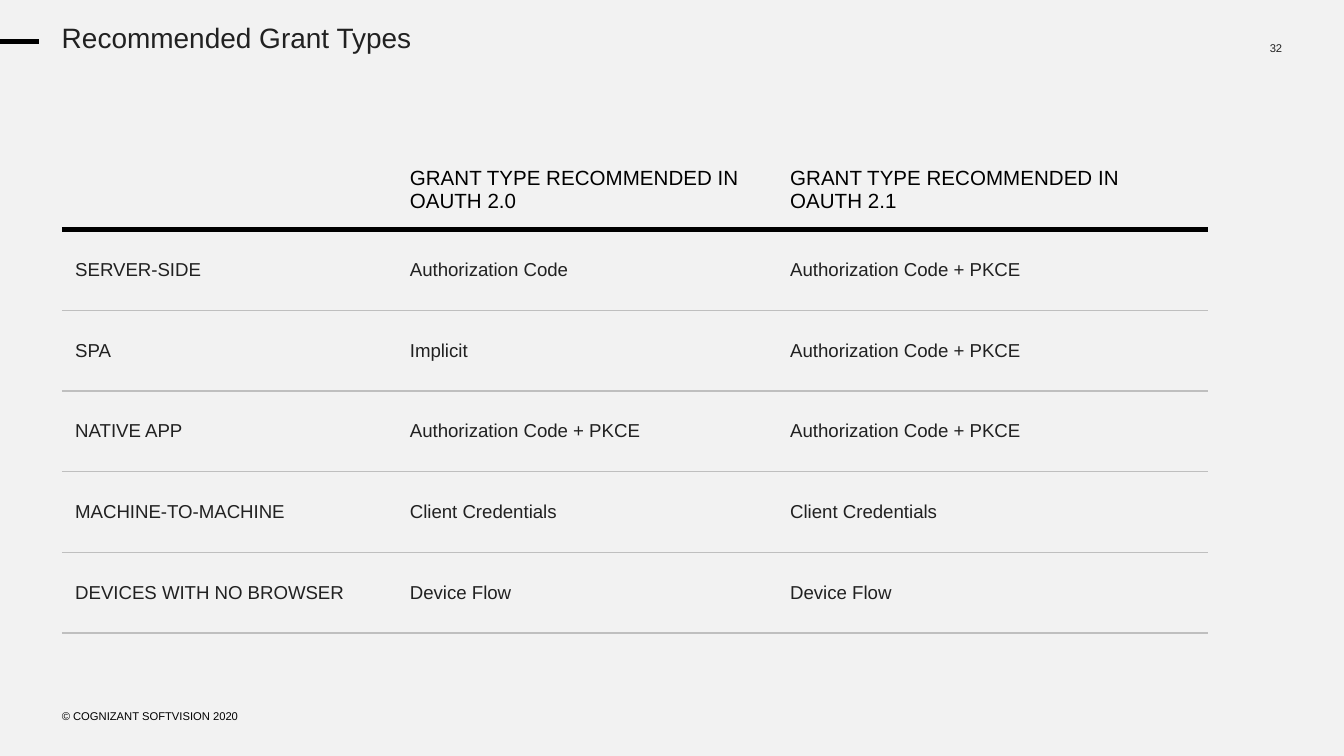
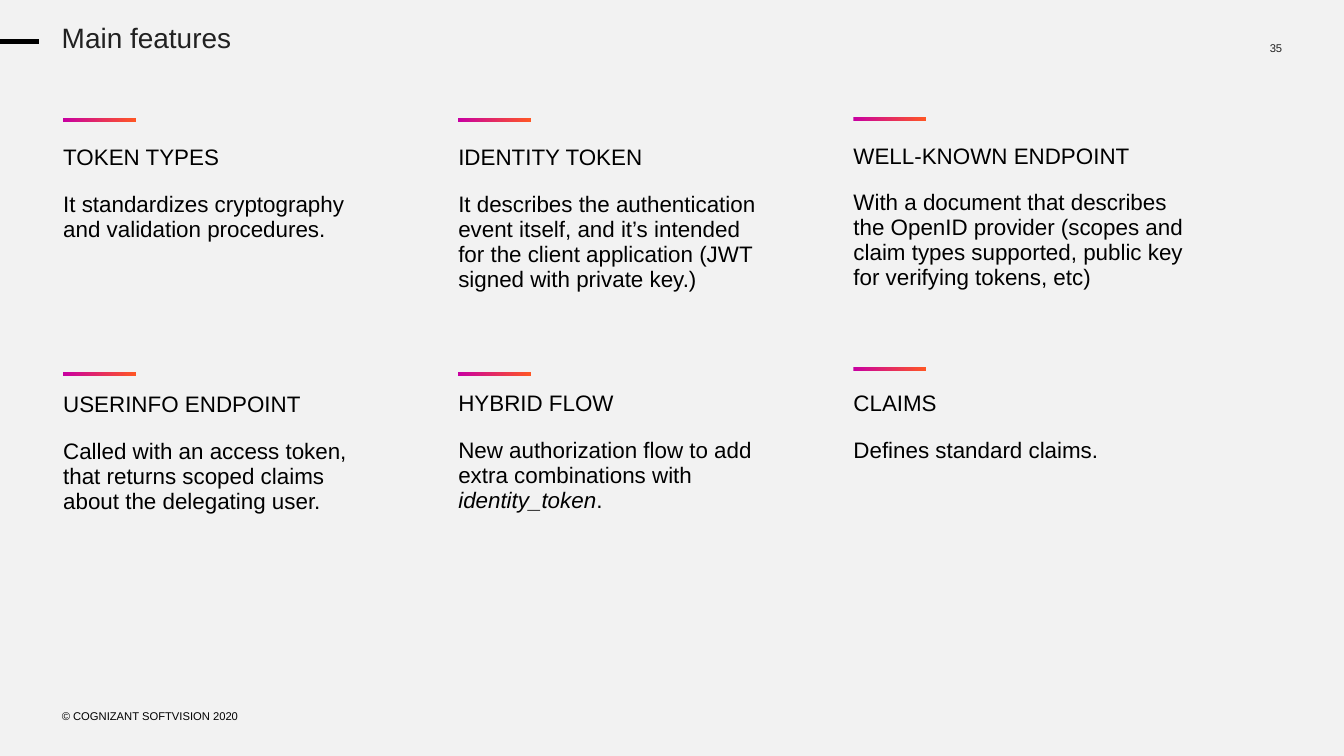
from lxml import etree
from pptx import Presentation
from pptx import util as u
from pptx.dml.color import RGBColor
from pptx.enum import shapes, text
from pptx.oxml import ns

INK = {"page": "F2F2F2", "black": "000000", "dark": "212121",
       "rule": "BFBFBF", "pink": "C800A1", "orange": "FF5625"}
FONT = "Arial"
PLAIN = "{2D5ABB26-0587-4C30-8999-92F81FD0307C}"
LEFT = 0.46

GRANTS = [
    ("", "GRANT TYPE RECOMMENDED IN OAUTH 2.0", "GRANT TYPE RECOMMENDED IN OAUTH 2.1"),
    ("SERVER-SIDE", "Authorization Code", "Authorization Code + PKCE"),
    ("SPA", "Implicit", "Authorization Code + PKCE"),
    ("NATIVE APP", "Authorization Code + PKCE", "Authorization Code + PKCE"),
    ("MACHINE-TO-MACHINE", "Client Credentials", "Client Credentials"),
    ("DEVICES WITH NO BROWSER", "Device Flow", "Device Flow"),
]

FEATURES = [
    (0.47, 0.88, 1.08, 2.76, "TOKEN TYPES",
     ["It standardizes cryptography and validation procedures."]),
    (3.41, 0.88, 1.08, 2.73, "IDENTITY TOKEN",
     ["It describes the authentication event itself, and it’s intended "
      "for the client application (JWT signed with private key.)"]),
    (6.35, 0.87, 1.07, 3.08, "WELL-KNOWN ENDPOINT",
     ["With a document that describes the OpenID provider (scopes and claim "
      "types supported, public key for verifying tokens, etc)"]),
    (0.47, 2.77, 2.92, 2.76, "USERINFO ENDPOINT",
     ["Called with an access token, that returns scoped claims about the delegating user."]),
    (3.41, 2.77, 2.91, 2.73, "HYBRID FLOW",
     ["New authorization flow to add extra combinations with ", "identity_token", "."]),
    (6.35, 2.73, 2.91, 3.08, "CLAIMS", ["Defines standard claims."]),
]


def color(name):
    """Return the named colour."""
    return RGBColor.from_string(INK[name])


def style(frame, size, ink):
    """Format every run of a text frame."""
    for para in frame.paragraphs:
        for run in para.runs:
            run.font.name = FONT
            run.font.size = u.Pt(size)
            run.font.color.rgb = color(ink)


def inset(item, *sides):
    """Set the left, top, right and bottom margins of a frame or cell."""
    names = ("margin_left", "margin_top", "margin_right", "margin_bottom")
    for name, side in zip(names, sides):
        setattr(item, name, u.Inches(side))


def label(slide, box, words, size, ink):
    """Add a text box without margins and return its frame."""
    frame = slide.shapes.add_textbox(*map(u.Inches, box)).text_frame
    frame.word_wrap = True
    inset(frame, 0, 0, 0, 0)
    frame.text = words
    style(frame, size, ink)
    return frame


def base(deck, title, number):
    """Add a slide with its title, dash, page number and footer."""
    slide = deck.slides.add_slide(deck.slide_layouts[6])
    slide.background.fill.solid()
    slide.background.fill.fore_color.rgb = color("page")
    page = label(slide, (8.94, 0.31, 0.6, 0.43), number, 6, "dark")
    page.paragraphs[0].alignment = text.PP_ALIGN.RIGHT
    foot = label(slide, (LEFT, 5.25, 2.22, 0.16), "© COGNIZANT SOFTVISION 2020", 6, "black")
    foot.vertical_anchor = text.MSO_ANCHOR.MIDDLE
    head = label(slide, (LEFT, 0.18, 4.54, 0.24), title, 15, "dark")
    head.paragraphs[0].line_spacing = 0.9
    dash = slide.shapes.add_connector(
        shapes.MSO_CONNECTOR.STRAIGHT, 0, u.Inches(0.31), u.Inches(0.29), u.Inches(0.31))
    dash.line.color.rgb = color("black")
    dash.line.width = u.Pt(3)
    etree.SubElement(dash.element.spPr, ns.qn("a:effectLst"))
    return slide


def grid(slide, left, top, cols, rows):
    """Add an unstyled table with the given column widths and row heights."""
    box = map(u.Inches, (left, top, sum(cols), sum(rows)))
    table = slide.shapes.add_table(len(rows), len(cols), *box).table
    table.first_row = table.horz_banding = False
    table._tbl.tblPr.find(ns.qn("a:tableStyleId")).text = PLAIN
    for col, width in zip(table.columns, cols):
        col.width = u.Inches(width)
    for row, height in zip(table.rows, rows):
        row.height = u.Inches(height)
    return table


def edge(cell, place, tag, ink, width):
    """Draw one border of a cell."""
    line = etree.Element(ns.qn(tag), w=str(u.Pt(width)))
    fill = etree.SubElement(line, ns.qn("a:solidFill"))
    etree.SubElement(fill, ns.qn("a:srgbClr"), val=INK[ink])
    cell._tc.get_or_add_tcPr().insert(place, line)


def matrix(slide):
    """Add the table of grant types."""
    table = grid(slide, LEFT, 1.11, [2.49, 2.83, 3.21], [0.6] * len(GRANTS))
    thick, thin = ("black", 3), ("rule", 0.75)
    for i, row in enumerate(GRANTS):
        for j, words in enumerate(row):
            cell = table.cell(i, j)
            inset(cell, 0.1, 0.1, 0.1, 0.1)
            cell.vertical_anchor = text.MSO_ANCHOR.MIDDLE
            cell.fill.solid()
            cell.fill.fore_color.rgb = color("page")
            if words:
                cell.text_frame.text = words
                style(cell.text_frame, *((10, "dark") if i else (11, "black")))
            edge(cell, 0, "a:lnB", *(thin if i else thick))
            if i:
                edge(cell, 0, "a:lnT", *(thick if i == 1 else thin))


def bar(slide, left, top):
    """Add a short gradient bar."""
    shape = slide.shapes.add_shape(
        shapes.MSO_SHAPE.RECTANGLE, *map(u.Inches, (left, top, 0.54, 0.03)))
    shape.shadow.inherit = False
    shape.line.fill.background()
    shape.fill.gradient()
    shape.fill.gradient_angle = 0
    for stop, ink in zip(shape.fill.gradient_stops, ("pink", "orange")):
        stop.color.rgb = color(ink)


def card(slide, left, rise, top, width, head, parts):
    """Add a feature: its bar, heading and body."""
    bar(slide, left, rise)
    cell = grid(slide, left, top, [width], [1.52]).cell(0, 0)
    inset(cell, 0, 0, 0.5, 0)
    cell.fill.background()
    frame = cell.text_frame
    frame.text = head
    para = frame.add_paragraph()
    para.space_before = u.Pt(11.5)
    for i, part in enumerate(parts):
        run = para.add_run()
        run.text = part
        run.font.italic = i % 2 == 1
    style(frame, 12, "black")


def main():
    """Build and save the deck."""
    deck = Presentation()
    deck.slide_width = u.Inches(10)
    deck.slide_height = u.Inches(10 * 9 / 16)
    matrix(base(deck, "Recommended Grant Types", "32"))
    slide = base(deck, "Main features", "35")
    for item in FEATURES:
        card(slide, *item)
    deck.save("out.pptx")


if __name__ == "__main__":
    main()
